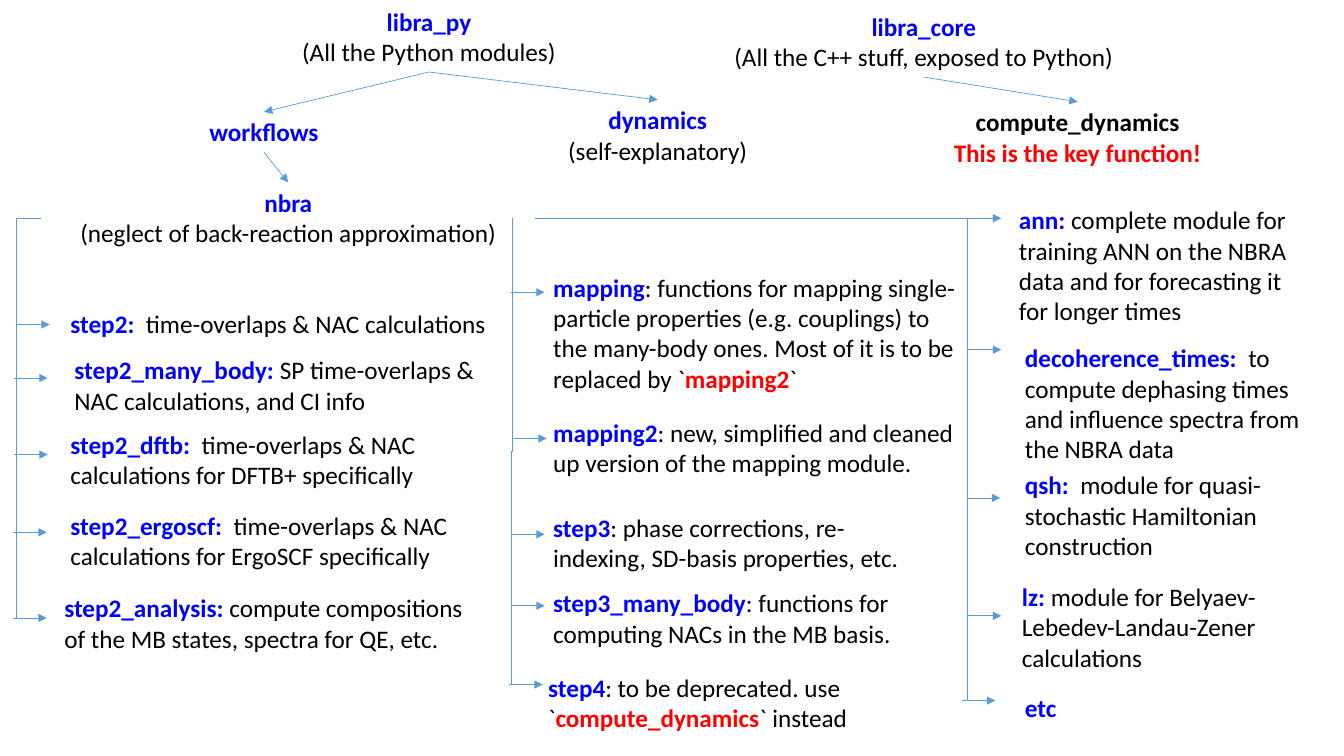
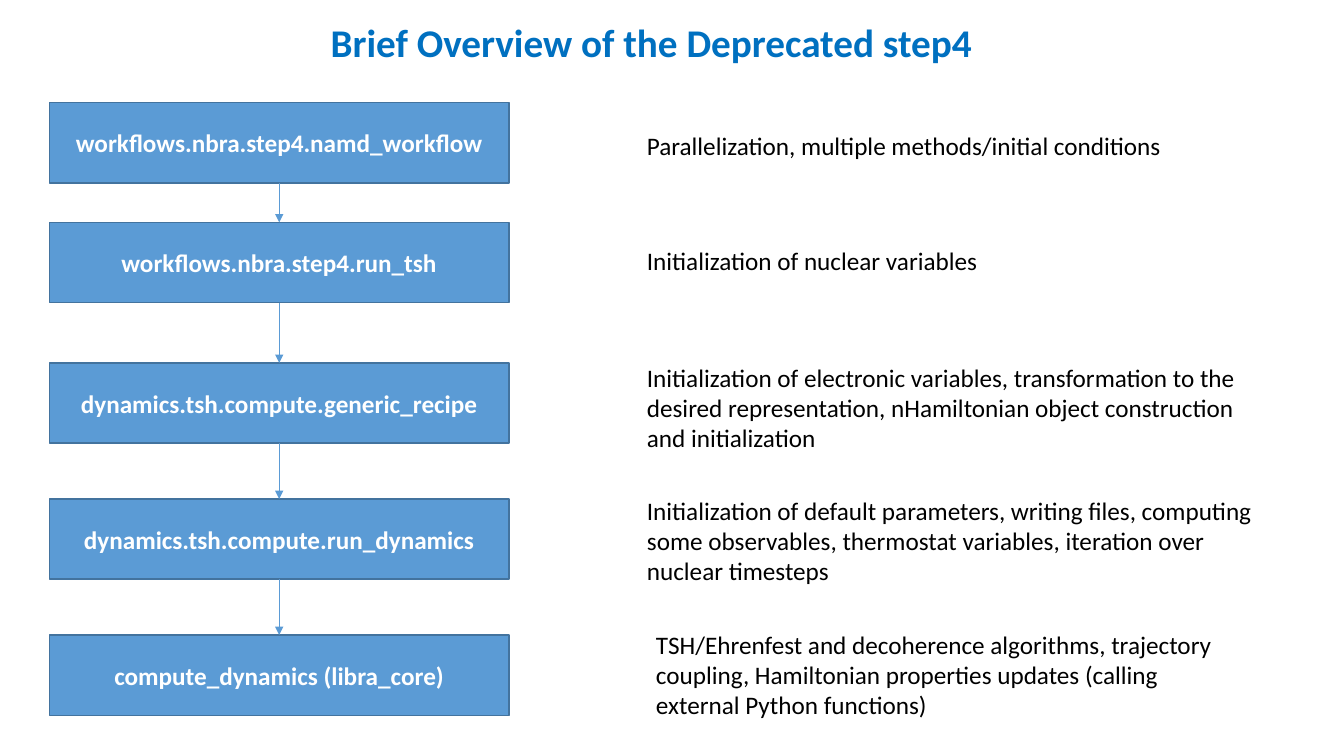
from lxml.etree import SubElement
from pptx import Presentation
from pptx.dml.color import RGBColor
from pptx.enum.shapes import MSO_CONNECTOR, MSO_SHAPE
from pptx.enum.text import MSO_ANCHOR, MSO_AUTO_SIZE, PP_ALIGN
from pptx.oxml.ns import qn
from pptx.util import Pt

FONT = "Calibri"
ACCENT = "5B9BD5"
PLAIN = ("000000", False)
NAME = ("0000FF", True)
ALERT = ("FF0000", True)
BLACK_BOLD = ("000000", True)
BOX_TEXT = ("FFFFFF", True)
TITLE = ("0070C0", True)

HEADINGS = {
    "libra_py": (207.4, 0.7, 198, [("libra_py", NAME)], [("(All the Python modules)", PLAIN)]),
    "libra_core": (515.5, 4.3, 288.7, [("libra_core", NAME)],
                   [("(All the C++ stuff, exposed to Python)", PLAIN)]),
    "workflows": (141.8, 79.9, 93.6, [("workflows", NAME)]),
    "dynamics": (397.4, 71.3, 144.7, [("dynamics", NAME)], [("(self-explanatory)", PLAIN)]),
    "compute_dynamics": (673.2, 72.7, 193, [("compute_dynamics", BLACK_BOLD)],
                         [("This is the key function!", ALERT)]),
    "nbra": (29.5, 130.3, 352.8, [("nbra", NAME)],
             [("(neglect of back-reaction approximation)", PLAIN)]),
}
LINKS = [
    ("libra_py", "workflows"),
    ("libra_py", "dynamics"),
    ("libra_core", "compute_dynamics"),
    ("workflows", "nbra"),
]

MODULES = [
    (43.2, 216.7, 318.2, 1, (11.5, 231.8),
     [("step2:  ", NAME), ("time-overlaps & NAC calculations", PLAIN)]),
    (46.1, 249.8, 302.4, 2, (10.1, 270),
     [("step2_many_body: ", NAME), ("SP time-overlaps & NAC calculations, and CI info", PLAIN)]),
    (43.2, 303.1, 274.3, 2, (10.1, 324.7),
     [("step2_dftb:  ", NAME), ("time-overlaps & NAC calculations for DFTB+ specifically", PLAIN)]),
    (43.2, 360.7, 289.4, 2, (9.4, 380.2),
     [("step2_ergoscf:  ", NAME),
      ("time-overlaps & NAC calculations for ErgoSCF specifically", PLAIN)]),
    (38.9, 419.8, 304.6, 2, (9.4, 441.4),
     [("step2_analysis: ", NAME),
      ("compute compositions of the MB states, spectra for QE, etc.", PLAIN)]),
    (388.1, 190.8, 303.8, 4, (365, 208.8),
     [("mapping", NAME),
      (": functions for mapping single-particle properties (e.g. couplings) to the many-body "
       "ones. Most of it is to be replaced by `", PLAIN),
      ("mapping2", ALERT), ("`", PLAIN)]),
    (388.1, 294.5, 318.2, 2, (366.5, 313.2),
     [("mapping2", NAME),
      (": new, simplified and cleaned up version of the mapping module.", PLAIN)]),
    (388.1, 362.2, 285.1, 2, (365, 381.6),
     [("step3", NAME), (": phase corrections, re-indexing, SD-basis properties, etc.", PLAIN)]),
    (388.1, 416.2, 262.1, 2, (365, 432.7),
     [("step3_many_body", NAME), (": functions for computing NACs in the MB basis.", PLAIN)]),
    (384.5, 476.6, 261.4, 2, (363.6, 488.9),
     [("step4", NAME), (": to be deprecated. use `", PLAIN),
      ("compute_dynamics", ALERT), ("` instead", PLAIN)]),
    (720.7, 142.6, 217.4, 4, (691.2, 155.9),
     [("ann: ", NAME),
      ("complete module for training ANN on the NBRA data and for forecasting it for longer times",
       PLAIN)]),
    (725, 241.2, 224.6, 4, (691.2, 249.8),
     [("decoherence_times:  ", NAME),
      ("to compute dephasing times and influence spectra from the NBRA data", PLAIN)]),
    (725, 331.9, 234.7, 3, (690.5, 355.7),
     [("qsh:  ", NAME), ("module for quasi-stochastic Hamiltonian construction", PLAIN)]),
    (722.9, 411.8, 235, 3, (691.2, 439.9),
     [("lz:", NAME), (" module for Belyaev-Lebedev-Landau-Zener calculations", PLAIN)]),
    (725, 491, 105.1, 1, (686.9, 500.4), [("etc", NAME)]),
]
POINTER_LENGTH = 24

BRACKETS = [
    ((29.5, 155.9), (11.5, 442.1), "bentConnector2", 0),
    ((199.4, 321.8), (532.1, 322.9), "bentConnector3", 90),
    ((382.3, 155.9), (690.8, 500.4), "bentConnector2", 0),
]

STEPS = [
    (73.4, "workflows.nbra.step4.namd_workflow", 455, 89.3, 421.9, 1,
     "Parallelization, multiple methods/initial conditions"),
    (158.9, "workflows.nbra.step4.run_tsh", 455, 171.6, 421.9, 1,
     "Initialization of nuclear variables"),
    (259.2, "dynamics.tsh.compute.generic_recipe", 455, 254.9, 459.4, 3,
     "Initialization of electronic variables, transformation to the desired representation, "
     "nHamiltonian object construction and initialization"),
    (356.4, "dynamics.tsh.compute.run_dynamics", 455, 350.2, 459.4, 3,
     "Initialization of default parameters, writing files, computing some observables, "
     "thermostat variables, iteration over nuclear timesteps"),
    (453.6, "compute_dynamics (libra_core)", 461.5, 445.7, 434.9, 3,
     "TSH/Ehrenfest and decoherence algorithms, trajectory coupling, Hamiltonian properties "
     "updates (calling external Python functions)"),
]
STEP_LEFT, STEP_WIDTH, STEP_HEIGHT = 35.3, 328.3, 57.3


def color(value):
    return RGBColor.from_string(value)


def text_height(lines, size=18):
    return 7.2 + lines * size * 1.21


def write(frame, paragraphs, align, size=18):
    for index, runs in enumerate(paragraphs):
        para = frame.paragraphs[0] if index == 0 else frame.add_paragraph()
        para.alignment = align
        for text, (tint, bold) in runs:
            span = para.add_run()
            span.text = text
            span.font.name = FONT
            span.font.size = Pt(size)
            span.font.bold = bold
            span.font.color.rgb = color(tint)


def add_text(page, left, top, width, lines, paragraphs, align=PP_ALIGN.LEFT, wrap=True, size=18):
    box = page.shapes.add_textbox(Pt(left), Pt(top), Pt(width), Pt(text_height(lines, size)))
    box.text_frame.word_wrap = wrap
    box.text_frame.auto_size = MSO_AUTO_SIZE.SHAPE_TO_FIT_TEXT
    write(box.text_frame, paragraphs, align, size)


def connect(page, start, end, kind=MSO_CONNECTOR.STRAIGHT):
    connector = page.shapes.add_connector(kind, *(Pt(value) for value in start + end))
    connector.line.color.rgb = color(ACCENT)
    connector.line.width = Pt(0.5)
    SubElement(connector.element.spPr, qn("a:effectLst"))
    return connector


def add_arrow(page, start, end):
    connector = connect(page, start, end)
    line = connector.element.spPr.find(qn("a:ln"))
    SubElement(line, qn("a:tailEnd"), type="triangle")


def add_bracket(page, start, end, preset, angle):
    connector = connect(page, start, end, MSO_CONNECTOR.ELBOW)
    properties = connector.element.spPr
    properties.find(qn("a:prstGeom")).set("prst", preset)
    if angle:
        properties.find(qn("a:xfrm")).set("rot", str(angle * 60000))


def add_step(page, top, label):
    box = page.shapes.add_shape(
        MSO_SHAPE.RECTANGLE, Pt(STEP_LEFT), Pt(top), Pt(STEP_WIDTH), Pt(STEP_HEIGHT))
    box.shadow.inherit = False
    box.fill.solid()
    box.fill.fore_color.rgb = color(ACCENT)
    box.line.color.rgb = color("43739E")
    box.line.width = Pt(1)
    box.text_frame.word_wrap = True
    box.text_frame.vertical_anchor = MSO_ANCHOR.MIDDLE
    write(box.text_frame, [[(label, BOX_TEXT)]], PP_ALIGN.CENTER)


def build_module_map(page):
    for left, top, width, *paragraphs in HEADINGS.values():
        add_text(page, left, top, width, len(paragraphs), paragraphs, PP_ALIGN.CENTER, wrap=False)
    for parent, child in LINKS:
        left, top, width, *paragraphs = HEADINGS[parent]
        child_left, child_top, child_width = HEADINGS[child][:3]
        add_arrow(page, (left + width / 2, top + text_height(len(paragraphs))),
                  (child_left + child_width / 2, child_top))
    for bracket in BRACKETS:
        add_bracket(page, *bracket)
    for left, top, width, lines, (x, y), runs in MODULES:
        add_text(page, left, top, width, lines, [runs])
        add_arrow(page, (x, y), (x + POINTER_LENGTH, y))


def build_step_overview(page):
    add_text(page, 168.5, 9.4, 593.3, 1, [[("Brief Overview of the Deprecated step4", TITLE)]],
             PP_ALIGN.CENTER, size=28)
    for top, label, note_left, note_top, note_width, lines, note in STEPS:
        add_step(page, top, label)
        add_text(page, note_left, note_top, note_width, lines, [[(note, PLAIN)]])
    middle = STEP_LEFT + STEP_WIDTH / 2
    for upper, lower in zip(STEPS, STEPS[1:]):
        add_arrow(page, (middle, upper[0] + STEP_HEIGHT), (middle, lower[0]))


def main():
    deck = Presentation()
    deck.slide_width, deck.slide_height = Pt(960), Pt(540)
    for build in (build_module_map, build_step_overview):
        build(deck.slides.add_slide(deck.slide_layouts[6]))
    deck.save("out.pptx")


if __name__ == "__main__":
    main()
